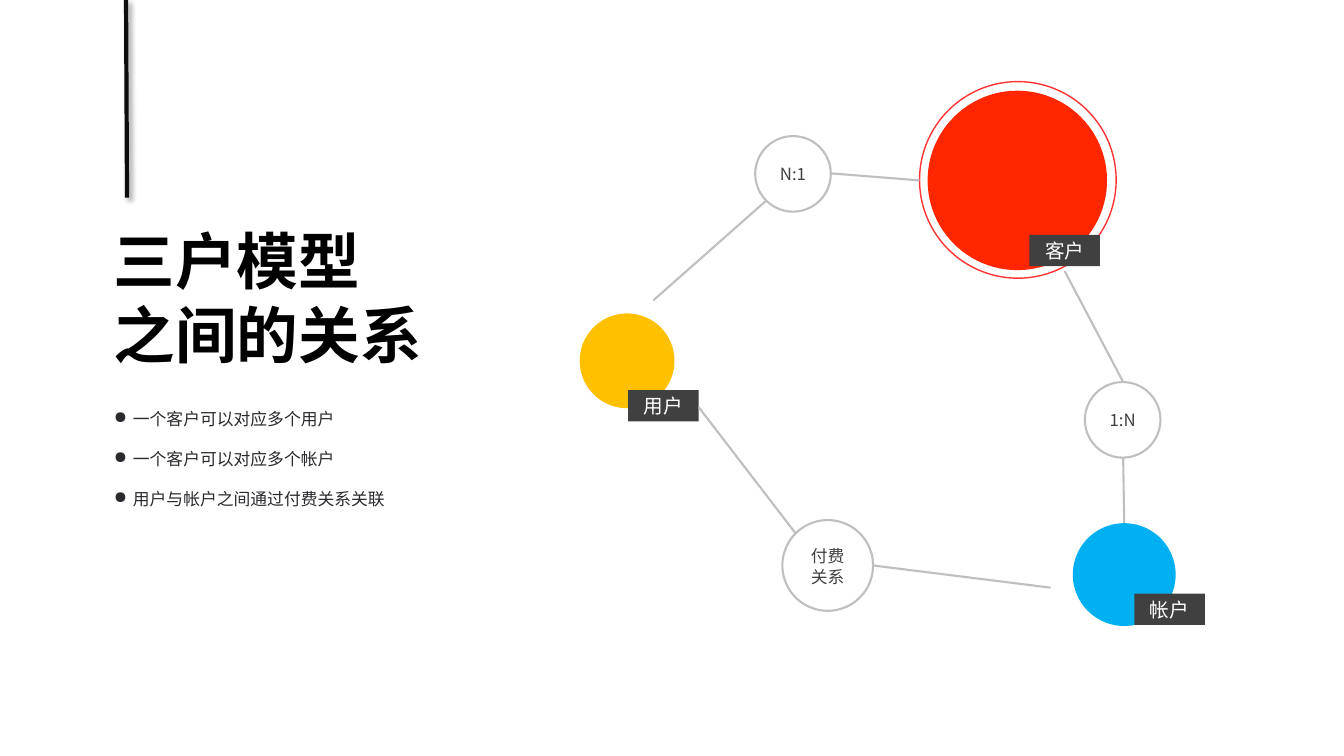
from lxml import etree
from pptx import Presentation
from pptx import util as u
from pptx.dml.color import RGBColor
from pptx.enum import shapes, text
from pptx.oxml import ns

COLUMNS, ROWS = 133.3, 75  # grid cells of a tenth of an inch
CENTER = text.PP_ALIGN.CENTER


def paint(color, value):
    color.rgb = RGBColor.from_string(value)


def add_xml(parent, tag, **attributes):
    return etree.SubElement(parent, ns.qn(tag), attributes)


def write(frame, lines, size=12, color="404040", bold=False, align=None,
          spacing=None, bullet=None, indent=0):
    """Fill a text frame, one paragraph for each line."""
    for number, line in enumerate(lines):
        para = frame.paragraphs[0] if number == 0 else frame.add_paragraph()
        para.alignment = align
        if spacing:
            para.line_spacing = u.Pt(spacing)
        if bullet:
            props = para._p.get_or_add_pPr()
            props.set("marL", str(u.Inches(indent)))
            props.set("indent", str(-u.Inches(indent)))
            add_xml(props, "a:buChar", char=bullet)
        span = para.add_run()
        span.text = line
        span.font.size, span.font.bold = u.Pt(size), bold
        span.font.name = Slide.FONT
        paint(span.font.color, color)
        add_xml(span._r.get_or_add_rPr(), "a:ea", typeface=Slide.FONT)


class Slide:
    FONT = "Noto Sans CJK SC"
    GRAY, DARK, WHITE = "BFBFBF", "404040", "FFFFFF"

    def __init__(self, deck):
        self.page = deck.slides.add_slide(deck.slide_layouts[6])
        self.cell_width = deck.slide_width / COLUMNS
        self.cell_height = deck.slide_height / ROWS

    def place(self, column, row):
        return round(column * self.cell_width), round(row * self.cell_height)

    def shape(self, kind, column, row, width, height, fill, line=None, weight=1):
        box = self.page.shapes.add_shape(
            kind, *self.place(column, row), *self.place(width, height))
        box.shadow.inherit = False
        box.fill.solid()
        paint(box.fill.fore_color, fill)
        if line:
            paint(box.line.color, line)
            box.line.width = u.Pt(weight)
        else:
            box.line.fill.background()
        return box

    def circle(self, column, row, size, fill, **outline):
        return self.shape(shapes.MSO_SHAPE.OVAL, column, row, size, size,
                          fill, **outline)

    def caption(self, box, caption, across, down, **style):
        frame = box.text_frame
        frame.word_wrap = True
        frame.vertical_anchor = text.MSO_ANCHOR.MIDDLE
        frame.margin_left = frame.margin_right = u.Inches(across)
        frame.margin_top = frame.margin_bottom = u.Inches(down)
        write(frame, [caption], align=CENTER, **style)

    def label(self, column, row, caption):
        box = self.shape(shapes.MSO_SHAPE.RECTANGLE, column, row, 7, 3.1, self.DARK)
        self.caption(box, caption, 0, 0, size=14, color=self.WHITE)

    def relation(self, column, row, size, caption, spacing=None):
        box = self.circle(column, row, size, self.WHITE, line=self.GRAY, weight=1.5)
        self.caption(box, caption, 0.1, 0.07, spacing=spacing)

    def line(self, start, end, color=GRAY, weight=1.5, shadow=False):
        link = self.page.shapes.add_connector(
            shapes.MSO_CONNECTOR.STRAIGHT, *self.place(*start), *self.place(*end))
        paint(link.line.color, color)
        link.line.width = u.Pt(weight)
        effects = add_xml(link._element.spPr, "a:effectLst")
        if shadow:
            outer = add_xml(effects, "a:outerShdw", blurRad=str(u.Pt(4)),
                            dist=str(u.Pt(3)), dir=str(45 * 60000))
            black = add_xml(outer, "a:srgbClr", val="000000")
            add_xml(black, "a:alpha", val="40000")

    def words(self, column, row, width, height, lines, wrap=True, top=0.05, **style):
        box = self.page.shapes.add_textbox(
            *self.place(column, row), *self.place(width, height))
        frame = box.text_frame
        frame.word_wrap = wrap
        frame.auto_size = text.MSO_AUTO_SIZE.SHAPE_TO_FIT_TEXT
        frame.margin_top = u.Inches(top)
        write(frame, lines, **style)


def main():
    deck = Presentation()
    deck.slide_width, deck.slide_height = u.Inches(13.33), u.Inches(7.5)
    slide = Slide(deck)

    # The three parties, with a ring around the customer
    slide.circle(91.2, 8.1, 19.5, slide.WHITE, line="FF3333")
    parties = [
        ((106.4, 51.9, 10.2, "00B0F0"), (112.5, 58.9, "帐户")),
        ((92, 9, 17.8, "FF2600"), (102.1, 23.3, "客户")),
        ((57.5, 31.1, 9.4, "FFC000"), (62.3, 38.7, "用户")),
    ]
    for circle, label in parties:
        slide.circle(*circle)
        slide.label(*label)

    # Links between parties and relations
    links = [
        ((64.8, 29.8), (76, 19.9)), ((82.4, 17.2), (91.2, 17.9)),
        ((111.5, 51.9), (111.4, 45.4)), ((105.6, 26.9), (111.4, 37.9)),
        ((69.3, 40.4), (78.9, 52.9)), ((86.6, 56.1), (104.2, 58.3)),
    ]
    for start, end in links:
        slide.line(start, end)

    # Relations
    slide.relation(74.9, 13.5, 7.5, "N:1")
    slide.relation(107.6, 37.9, 7.5, "1:N")
    slide.relation(77.6, 51.6, 9, "付费关系", spacing=15)

    # Heading with its hanging line
    slide.line((12.5, 0), (12.6, 19.6), color="0D0D0D", weight=3, shadow=True)
    slide.words(10.3, 21.1, 32.9, 15.8, ["三户模型", "之间的关系"], wrap=False,
                top=0.11, size=44, color="000000", bold=True, spacing=52.5)

    # Explanation
    slide.words(10.3, 37.8, 41.5, 12.5,
                ["一个客户可以对应多个用户", "一个客户可以对应多个帐户",
                 "用户与帐户之间通过付费关系关联"],
                top=0.07, color="2A292E", spacing=28.8, bullet="●", indent=0.19)

    deck.save("out.pptx")


if __name__ == "__main__":
    main()
